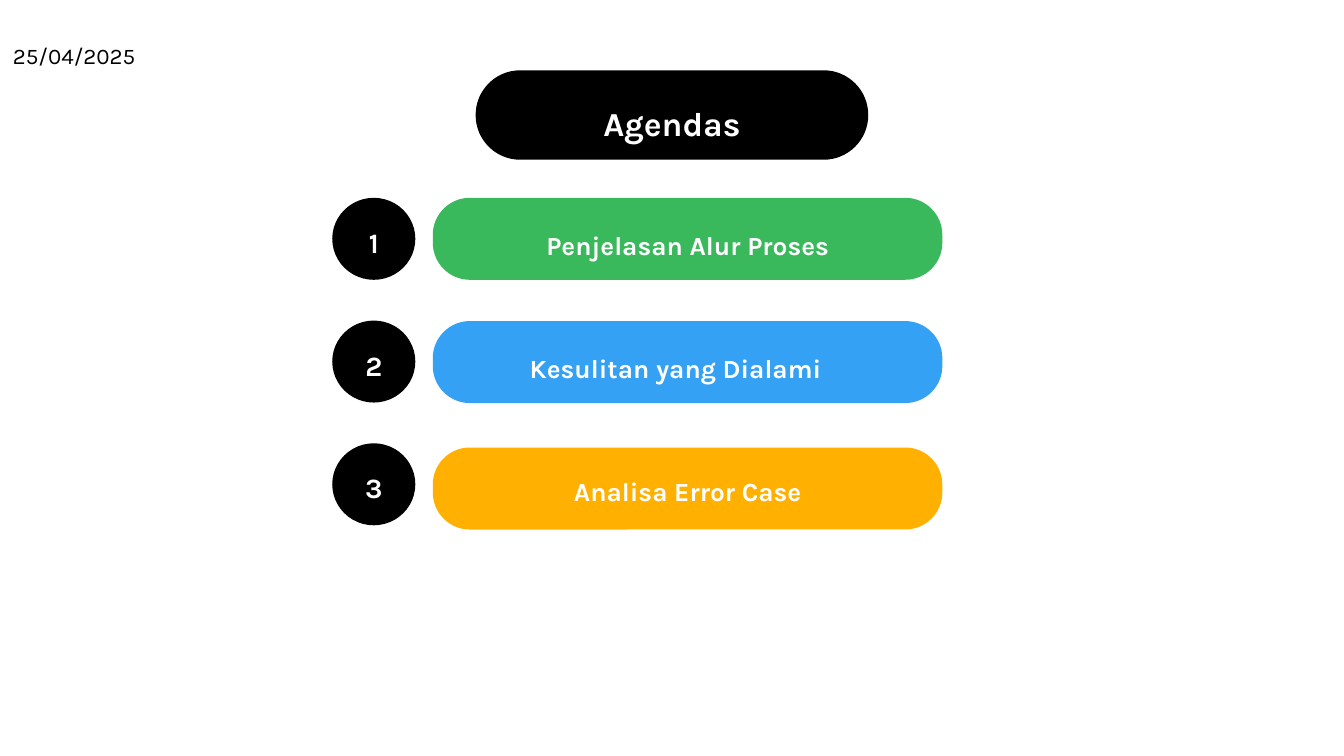
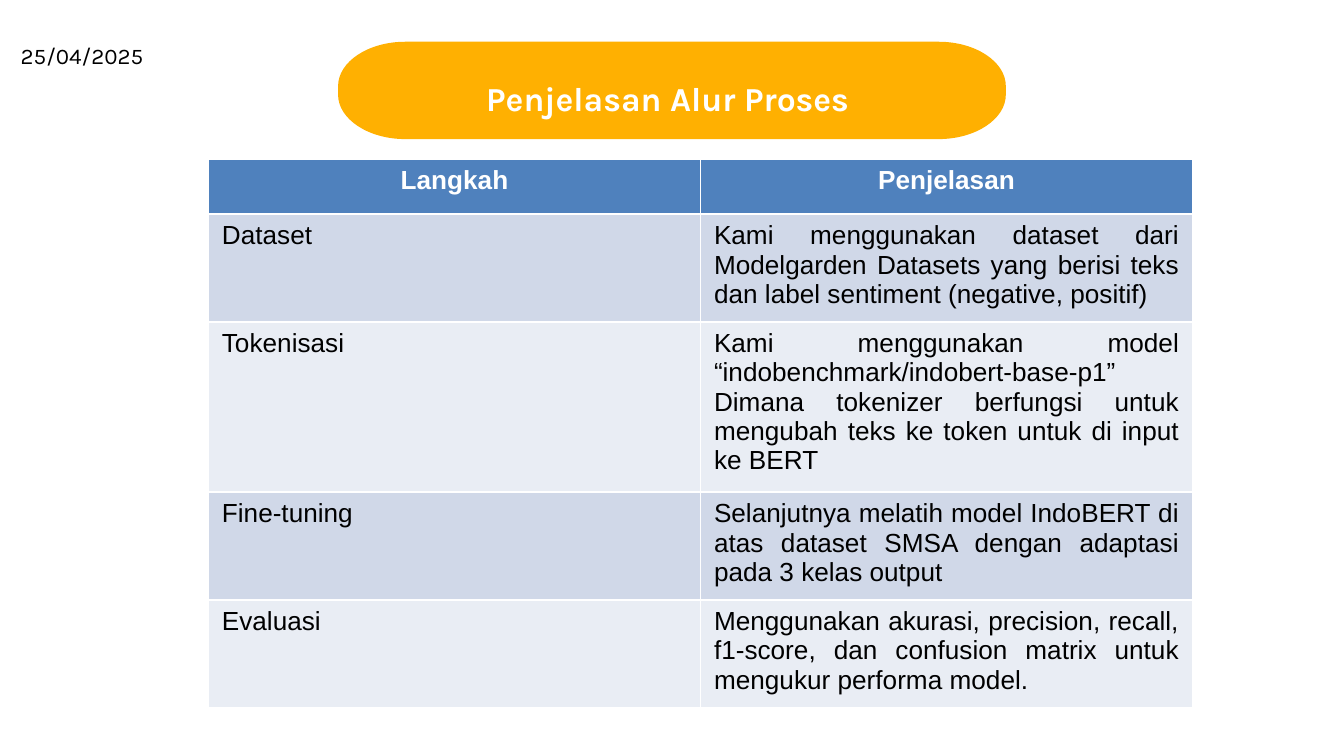
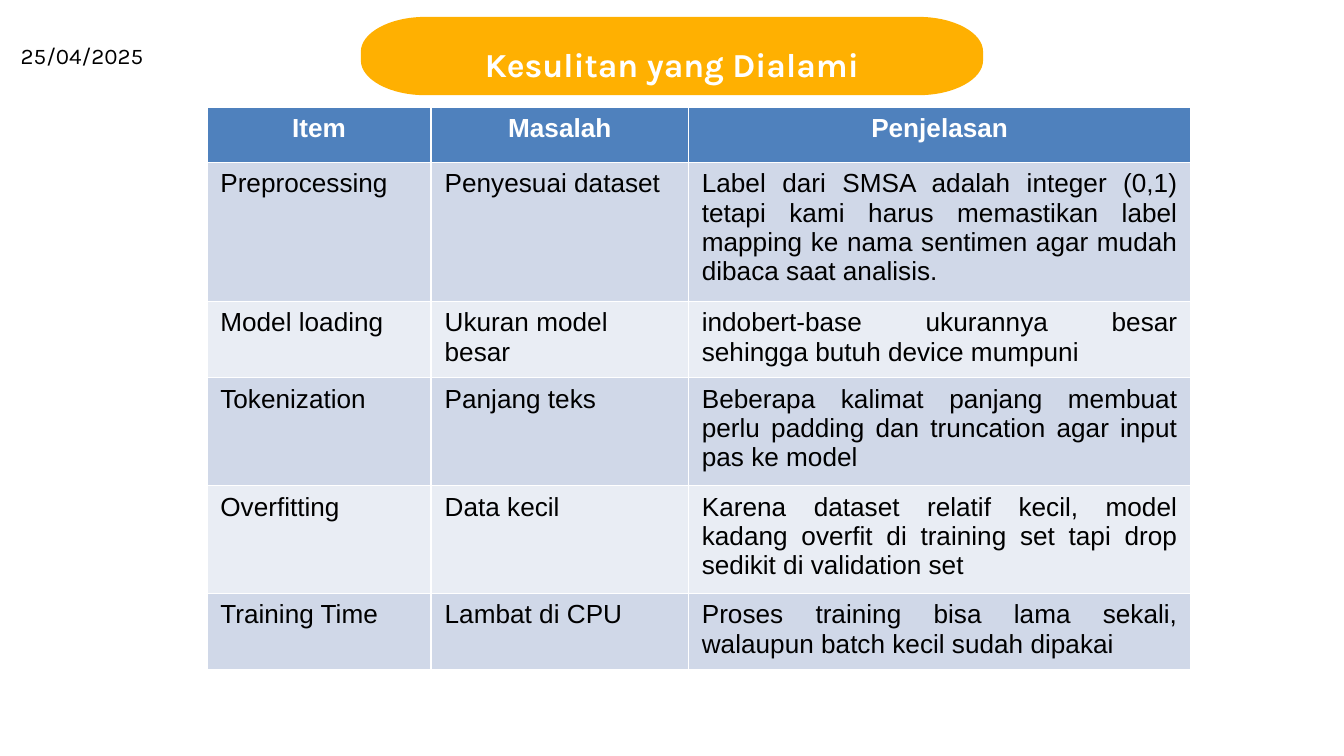
from dataclasses import dataclass

from lxml import etree
from pptx import Presentation
from pptx.dml.color import RGBColor
from pptx.enum.shapes import MSO_SHAPE
from pptx.enum.text import MSO_ANCHOR, PP_ALIGN
from pptx.oxml.ns import qn
from pptx.util import Cm, Pt

OVAL = MSO_SHAPE.OVAL
TOP, MIDDLE = MSO_ANCHOR.TOP, MSO_ANCHOR.MIDDLE
LEFT, CENTER = PP_ALIGN.LEFT, PP_ALIGN.CENTER
RIGHT, JUSTIFY = PP_ALIGN.RIGHT, PP_ALIGN.JUSTIFY


@dataclass(frozen=True)
class Theme:
    black: str = "000000"
    white: str = "FFFFFF"
    green: str = "3AB85C"
    blue: str = "35A1F4"
    amber: str = "FFB001"
    header: str = "4F81BD"
    bands: tuple = ("D0D8E8", "E9EDF4")
    display: str = "Karla"
    body: str = "Arial"
    title_size: int = 18
    number_size: int = 15
    text_size: int = 14
    date_size: int = 12
    spacing: float = 1.4
    inset: float = 0.08


T = Theme()
SLIDE_W, SLIDE_H = 25.4, 14.29
CURVE = 0.55
DATE = "25/04/2025"

AGENDA = {
    "title": "Agendas",
    "pill": dict(y=1.33, w=7.42, h=1.69, rx=0.84, ry=0.84, color=T.black),
    "date_w": 2.56,
    "items": [
        ("Penjelasan Alur Proses", T.green, 0, 0),
        ("Kesulitan yang Dialami", T.blue, 0.01, -0.23),
        ("Analisa Error Case", T.amber, 0.08, 0),
    ],
}

TABLE_SLIDES = [
    {
        "title": "Penjelasan Alur Proses ",
        "pill": dict(y=0.79, w=12.62, h=1.84, rx=1.27, ry=0.84, color=T.amber),
        "origin": (3.94, 3.01),
        "widths": (9.3, 9.3),
        "heights": (1.04, 2.03, 3.21, 2.04, 2.02),
        "rows": [
            ("Langkah", "Penjelasan"),
            ("Dataset",
             "Kami menggunakan dataset dari Modelgarden Datasets yang berisi "
             "teks dan label sentiment (negative, positif) "),
            ("Tokenisasi",
             "Kami menggunakan model “indobenchmark/indobert-base-p1” Dimana "
             "tokenizer berfungsi untuk mengubah teks ke token untuk di input "
             "ke BERT"),
            ("Fine-tuning",
             "Selanjutnya melatih model IndoBERT di atas dataset SMSA dengan "
             "adaptasi pada 3 kelas output"),
            ("Evaluasi",
             "Menggunakan akurasi, precision, recall, f1-score, dan confusion "
             "matrix untuk mengukur performa model."),
        ],
    },
    {
        "title": "Kesulitan yang Dialami",
        "pill": dict(y=0.32, w=11.76, h=1.48, rx=1.22, ry=0.66, color=T.amber),
        "origin": (3.91, 2.03),
        "widths": (4.24, 4.86, 9.5),
        "heights": (1.04, 2.6, 1.44, 2.04, 2.04, 1.42),
        "rows": [
            ("Item", "Masalah", "Penjelasan"),
            ("Preprocessing", "Penyesuai dataset",
             "Label dari SMSA adalah integer (0,1) tetapi kami harus "
             "memastikan label mapping ke nama sentimen agar mudah dibaca "
             "saat analisis."),
            ("Model loading", "Ukuran model besar",
             "indobert-base ukurannya besar sehingga butuh device mumpuni"),
            ("Tokenization", "Panjang teks",
             "Beberapa kalimat panjang membuat perlu padding dan truncation "
             "agar input pas ke model"),
            ("Overfitting", "Data kecil",
             "Karena dataset relatif kecil, model kadang overfit di training "
             "set tapi drop sedikit di validation set"),
            ("Training Time", "Lambat di CPU",
             "Proses training bisa lama sekali, walaupun batch kecil sudah "
             "dipakai"),
        ],
    },
]


def write(tf, text, size, color=T.white, bold=True, align=CENTER,
          font=T.display, spacing=None):
    p = tf.paragraphs[0]
    p.text = text
    p.alignment = align
    p.line_spacing = spacing
    p.font.name = font
    p.font.size = Pt(size)
    p.font.bold = bold
    p.font.color.rgb = RGBColor.from_string(color)


def paint(sp, color):
    sp.shadow.inherit = False
    sp.fill.solid()
    sp.fill.fore_color.rgb = RGBColor.from_string(color)
    sp.line.fill.background()


def round_corners(sp, origin, points):
    x0, y0 = origin
    lines = sp._element.findall(f".//{qn('a:lnTo')}")
    for i in range(1, len(points), 2):
        (px, py), (qx, qy) = points[i], points[(i + 1) % len(points)]
        cx, cy = (qx, py) if i % 4 == 1 else (px, qy)
        curve = etree.Element(qn("a:cubicBezTo"))
        for ax, ay in ((px + CURVE * (cx - px), py + CURVE * (cy - py)),
                       (qx + CURVE * (cx - qx), qy + CURVE * (cy - qy)),
                       (qx, qy)):
            etree.SubElement(curve, qn("a:pt"),
                             x=str(Cm(ax - x0)), y=str(Cm(ay - y0)))
        line = lines[i]
        line.getparent().replace(line, curve)


def add_pill(s, x, y, w, h, rx, ry, color):
    right, bottom = x + w, y + h
    points = [(x + rx, y), (right - rx, y),
              (right, y + ry), (right, bottom - ry),
              (right - rx, bottom), (x + rx, bottom),
              (x, bottom - ry), (x, y + ry)]
    outline = [(Cm(px), Cm(py)) for px, py in points]
    fb = s.shapes.build_freeform(*outline[0])
    fb.add_line_segments(outline[1:] + outline[:1], close=True)
    sp = fb.convert_to_shape()
    round_corners(sp, (x, y), points)
    paint(sp, color)


def add_label(s, x, y, w, h, text, size, inset=T.inset, anchor=MIDDLE,
              spacing=T.spacing, **style):
    tf = s.shapes.add_textbox(Cm(x), Cm(y), Cm(w), Cm(h)).text_frame
    tf.word_wrap = True
    tf.vertical_anchor = anchor
    tf.margin_left = tf.margin_right = Cm(inset)
    tf.margin_top = tf.margin_bottom = Cm(inset)
    write(tf, text, size, spacing=spacing, **style)


def add_page(prs, title, pill, date_w):
    s = prs.slides.add_slide(prs.slide_layouts[6])
    x = (SLIDE_W - pill["w"]) / 2
    add_pill(s, x, **pill)
    add_label(s, x, pill["y"], pill["w"], pill["h"], title, T.title_size)
    add_label(s, 0, 0.6, date_w, 0.71, DATE, T.date_size, inset=0,
              anchor=TOP, color=T.black, bold=False, align=RIGHT)
    return s


def add_agenda(s, items, top=3.74, pitch=2.32, h=1.55):
    for i, (text, color, drop, shift) in enumerate(items):
        y = top + i * pitch
        add_pill(s, 8.18, y + drop, 9.63, h, 0.7, 0.7, color)
        add_label(s, 8.3 + shift, y + 0.07, 9.4, 1.42, text, T.text_size)
        sp = s.shapes.add_shape(OVAL, Cm(6.28), Cm(y), Cm(1.57), Cm(h))
        paint(sp, T.black)
        add_label(s, 6.43, y + 0.27, 1.27, 1.14, str(i + 1), T.number_size,
                  spacing=None)


def add_grid(s, origin, widths, heights, rows):
    x, y = origin
    table = s.shapes.add_table(len(rows), len(widths), Cm(x), Cm(y),
                               Cm(sum(widths)), Cm(sum(heights))).table
    for column, w in zip(table.columns, widths):
        column.width = Cm(w)
    for r, (values, h) in enumerate(zip(rows, heights)):
        table.rows[r].height = Cm(h)
        head = r == 0
        for c, text in enumerate(values):
            cell = table.cell(r, c)
            cell.fill.solid()
            cell.fill.fore_color.rgb = RGBColor.from_string(
                T.header if head else T.bands[(r - 1) % 2])
            body_align = JUSTIFY if c == len(widths) - 1 else LEFT
            write(cell.text_frame, text, T.text_size,
                  color=T.white if head else T.black, bold=head,
                  align=CENTER if head else body_align, font=T.body)


def main():
    prs = Presentation()
    prs.slide_width, prs.slide_height = Cm(SLIDE_W), Cm(SLIDE_H)
    s = add_page(prs, AGENDA["title"], AGENDA["pill"], AGENDA["date_w"])
    add_agenda(s, AGENDA["items"])
    for page in TABLE_SLIDES:
        s = add_page(prs, page["title"], page["pill"], date_w=2.71)
        add_grid(s, page["origin"], page["widths"], page["heights"], page["rows"])
    prs.save("out.pptx")


if __name__ == "__main__":
    main()
